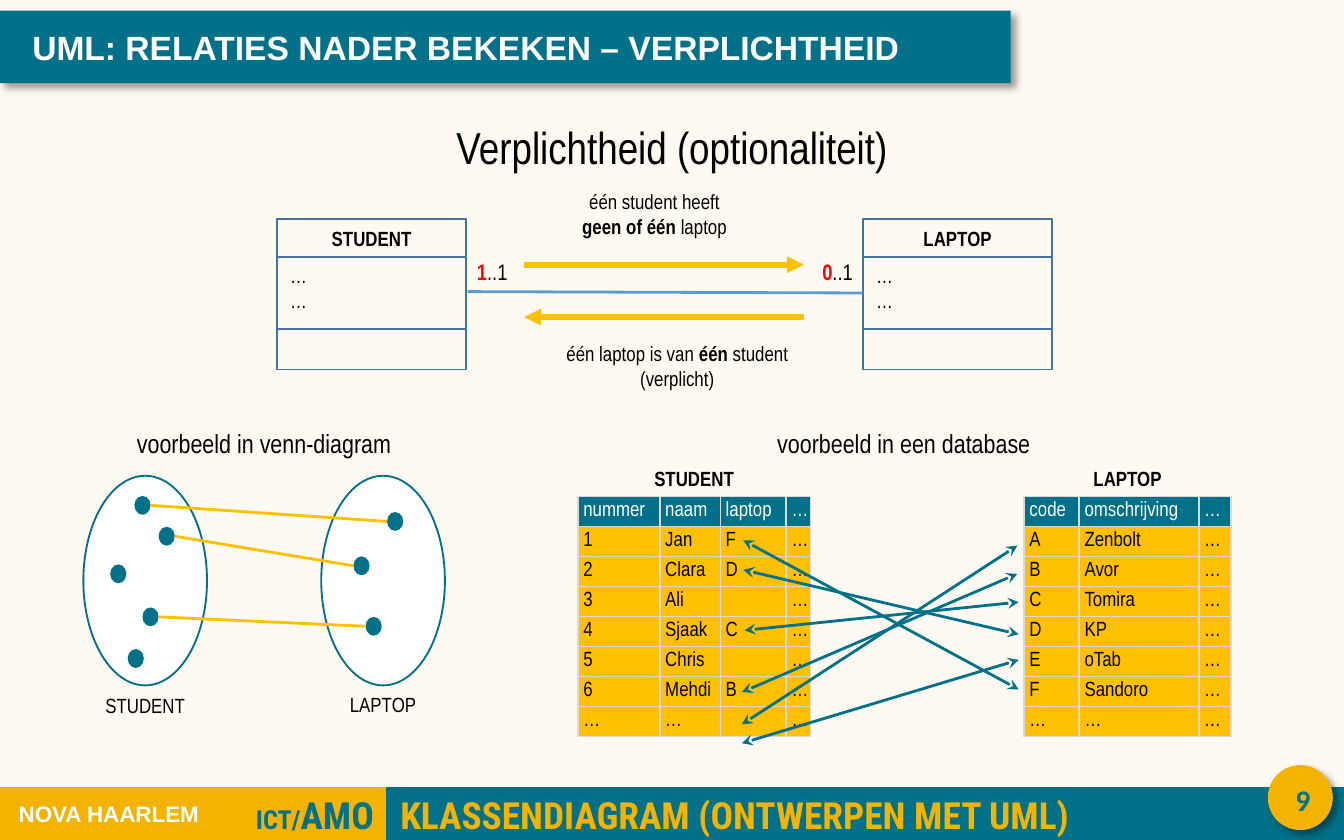
from dataclasses import dataclass, replace
from typing import Optional

from lxml import etree
from pptx import Presentation
from pptx import util as u
from pptx.dml.color import RGBColor
from pptx.enum import shapes as kinds, text as txt
from pptx.oxml.ns import qn

HEX = {"teal": "007188", "gold": "F3B300", "amber": "FFC000", "cream": "FFF6E4",
       "white": "FFFFFF", "black": "000000", "red": "FF0000", "edge": "43739E",
       "link": "5B9BD5", "grid": "D9D9D9"}
RECT, OVAL = kinds.MSO_SHAPE.RECTANGLE, kinds.MSO_SHAPE.OVAL
TOP, MID = txt.MSO_ANCHOR.TOP, txt.MSO_ANCHOR.MIDDLE
LEFT, MIDDLE, RIGHT = txt.PP_ALIGN.LEFT, txt.PP_ALIGN.CENTER, txt.PP_ALIGN.RIGHT
PAD = (0.1, 0.05, 0.1, 0.05)
FLAT = (0.1, 0, 0.1, 0)
NO_STYLE = "{2D5ABB26-0587-4C30-8999-92F81FD0307C}"


@dataclass(frozen=True)
class Font:
    size: float = 11
    color: str = "black"
    bold: bool = False
    name: str = "Arial Narrow"


@dataclass(frozen=True)
class Venn:
    name: str
    left: float
    base: float
    dots: tuple


@dataclass(frozen=True)
class Grid:
    left: float
    cols: tuple
    name: str
    rows: tuple


BODY = Font()
BOLD = replace(BODY, bold=True)
HEAD = Font(14)
ROBOTO = Font(20, "gold", True, "Roboto Condensed")
ARIAL = Font(12, "white", True, "Arial")


def rgb(name: str) -> RGBColor:
    return RGBColor.from_string(HEX[name])


def node(up, tag: str, **attrs):
    return etree.SubElement(up, qn(tag), **attrs)


def write(frame, text: str, font: Font, align=LEFT, anchor=TOP, pad=PAD,
          mark: Optional[Font] = None) -> None:
    """Fill a frame; parts between asterisks take the mark font."""
    frame.vertical_anchor = anchor
    frame.margin_left, frame.margin_top, frame.margin_right, frame.margin_bottom = map(u.Inches, pad)
    for i, line in enumerate(text.split("\n")):
        para = frame.add_paragraph() if i else frame.paragraphs[0]
        para.alignment = align
        for j, part in enumerate(line.split("*")):
            if not part:
                continue
            look = mark if j % 2 else font
            run = para.add_run()
            run.text = part.rstrip("\v")
            run.font.size, run.font.bold = u.Pt(look.size), look.bold
            run.font.name = look.name
            run.font.color.rgb = rgb(look.color)
            if part.endswith("\v"):
                para.add_line_break()


def label(shapes, at: tuple, text: str, font: Font = BODY, align=MIDDLE,
          wrap: bool = True, **kw) -> None:
    frame = shapes.add_textbox(*map(u.Inches, at)).text_frame
    frame.word_wrap = wrap
    write(frame, text, font, align, **kw)


def shape(shapes, kind, at: tuple, fill: str = "", line: str = ""):
    item = shapes.add_shape(kind, *map(u.Inches, at))
    item.shadow.inherit = False
    if fill:
        item.fill.solid()
        item.fill.fore_color.rgb = rgb(fill)
    else:
        item.fill.background()
    if line:
        item.line.color.rgb = rgb(line)
        item.line.width = u.Pt(1)
    else:
        item.line.fill.background()
    return item


def shade(item) -> None:
    """Give a shape a soft shadow to the lower right."""
    drop = node(item._element.spPr.find(qn("a:effectLst")), "a:outerShdw", blurRad="50800",
                dist="38100", dir="2700000", algn="tl", rotWithShape="0")
    node(node(drop, "a:srgbClr", val=HEX["black"]), "a:alpha", val="40000")


def link(shapes, ends: tuple, color: str, width: float = 1.5, head: str = "", tail: str = "") -> None:
    item = shapes.add_connector(kinds.MSO_CONNECTOR.STRAIGHT, *map(u.Inches, ends))
    item.line.color.rgb = rgb(color)
    item.line.width = u.Pt(width)
    for tag, tip in (("a:headEnd", head), ("a:tailEnd", tail)):
        if tip:
            node(item.line._ln, tag, type=tip)
    node(item._element.spPr, "a:effectLst")


def frame_page(shapes) -> None:
    back = shape(shapes, RECT, (0, -0.01, 10, 5.87), "cream")
    tint = back._element.spPr.find(qn("a:solidFill")).find(qn("a:srgbClr"))
    node(tint, "a:alpha", val="50000")
    shape(shapes, RECT, (0, 5.86, 2.88, 0.4), "gold", "gold")
    shape(shapes, RECT, (2.88, 5.86, 7.12, 0.4), "teal", "teal")
    teal = replace(ROBOTO, color="teal")
    label(shapes, (0, 5.89, 2.88, 0.34), "*ICT/*AMO", teal, RIGHT, anchor=MID,
          pad=FLAT, mark=replace(teal, size=14))
    label(shapes, (2.88, 5.89, 7.12, 0.34), "KLASSENDIAGRAM (ONTWERPEN MET UML)",
          ROBOTO, LEFT, anchor=MID, pad=FLAT)
    shade(shape(shapes, OVAL, (9.44, 5.7, 0.47, 0.47), "gold", "gold"))
    label(shapes, (9.4, 5.77, 0.59, 0.64), "9", Font(16, "teal", True, "Calibri"))
    label(shapes, (0, 5.86, 1.62, 0.39), "NOVA HAARLEM", ARIAL, anchor=MID)
    bar = shape(shapes, RECT, (0, 0.08, 7.52, 0.54), "teal")
    shade(bar)
    write(bar.text_frame, "UML: RELATIES NADER BEKEKEN – VERPLICHTHEID",
          replace(ARIAL, size=18), pad=(0.24, 0.12, 0, 0.12))


def draw_venn(shapes, venn: Venn) -> None:
    group = shapes.add_group_shape().shapes
    shape(group, OVAL, (venn.left, 3.54, 0.92, 1.56), "white", "teal")
    for x, y in venn.dots:
        shape(group, OVAL, (x, y, 0.12, 0.14), "teal")
    label(group, (venn.left, venn.base, 0.92, 0.29), venn.name)


def edge(cell, tags: tuple) -> None:
    for tag in tags:
        line = node(cell._tc.get_or_add_tcPr(), tag, w="12700")
        node(node(line, "a:solidFill"), "a:srgbClr", val=HEX["grid"])


def draw_grid(shapes, grid: Grid) -> None:
    high, wide = len(grid.rows) + 1, len(grid.cols)
    at = (grid.left, 3.47, sum(grid.cols), 2)
    table = shapes.add_table(high, wide, *map(u.Inches, at)).table
    table._tbl.tblPr.find(qn("a:tableStyleId")).text = NO_STYLE
    for col, width in zip(table.columns, grid.cols):
        col.width = u.Inches(width)
    data = ((grid.name,) + ("",) * (wide - 1),) + grid.rows
    for r, row in enumerate(data):
        table.rows[r].height = u.Inches(2 / high)
        for c, text in enumerate(row):
            cell = table.cell(r, c)
            font = BOLD if r == 0 else replace(BODY, color="white" if r == 1 else "black")
            write(cell.text_frame, text, font, LEFT if r else MIDDLE)
            cell.margin_left = cell.margin_right = u.Inches(0.04)
            cell.margin_top = cell.margin_bottom = u.Inches(0.02)
            cell.vertical_anchor = MID
            if not text:
                node(cell.text_frame.paragraphs[0]._p, "a:endParaRPr", sz="1100")
            edge(cell, ("a:lnL", "a:lnR", "a:lnT", "a:lnB") if r else ("a:lnB",))
            if r:
                cell.fill.solid()
                cell.fill.fore_color.rgb = rgb("teal" if r == 1 else "amber")
    table.cell(0, 0).merge(table.cell(0, wide - 1))


def draw_class(shapes, left: float, name: str) -> None:
    group = shapes.add_group_shape().shapes
    head, body, _ = [shape(group, RECT, (left, y, 1.41, h), line="edge")
                     for y, h in ((1.63, 0.28), (1.91, 0.54), (2.45, 0.3))]
    write(head.text_frame, name, BOLD, MIDDLE, MID)
    write(body.text_frame, "…\n…", BODY)


VENNS = (Venn("STUDENT", 0.62, 5.11, ((1, 3.69), (1.18, 3.92), (1.06, 4.52), (0.82, 4.2), (0.95, 4.83))),
         Venn("LAPTOP", 2.39, 5.1, ((2.88, 3.81), (2.63, 4.14), (2.72, 4.59))))
GRIDS = (
    Grid(4.3, (0.61, 0.45, 0.49, 0.18), "STUDENT", (
        ("nummer", "naam", "laptop", "…"), ("1", "Jan", "F", "…"), ("2", "Clara", "D", "…"),
        ("3", "Ali", "", "…"), ("4", "Sjaak", "C", "…"), ("5", "Chris", "", "…"),
        ("6", "Mehdi", "B", "…"), ("…", "…", "", "…"))),
    Grid(7.62, (0.41, 0.89, 0.24), "LAPTOP", (
        ("code", "omschrijving", "…"), ("A", "Zenbolt", "…"), ("B", "Avor", "…"),
        ("C", "Tomira", "…"), ("D", "KP", "…"), ("E", "oTab", "…"),
        ("F", "Sandoro", "…"), ("…", "…", "…"))))
KEYS = ((5.53, 4.02, 7.58, 5.13), (5.53, 4.24, 7.58, 4.72), (5.52, 5.39, 7.57, 4.06),
        (5.54, 4.69, 7.58, 4.48), (5.52, 5.53, 7.58, 4.91), (5.52, 5.15, 7.57, 4.27))


def main() -> None:
    deck = Presentation()
    deck.slide_width, deck.slide_height = u.Inches(10), u.Inches(6.25)
    shapes = deck.slides.add_slide(deck.slide_layouts[6]).shapes
    frame_page(shapes)

    for ends in ((3.9, 1.97, 5.98, 1.97), (5.98, 2.36, 3.9, 2.36)):
        link(shapes, ends, "amber", 3, tail="triangle")
    label(shapes, (3.94, 1.36, 1.86, 0.47), "één student heeft\v*geen of één *laptop", mark=BOLD)
    label(shapes, (4.11, 2.49, 1.86, 0.47), "één laptop is van *één* student\n(verplicht)", mark=BOLD)

    for venn in VENNS:
        draw_venn(shapes, venn)
    for (x, y), (to_x, to_y) in zip(VENNS[0].dots, VENNS[1].dots):
        link(shapes, (x + 0.12, y + 0.07, to_x, to_y + 0.07), "amber")

    label(shapes, (0, 0.84, 10, 0.5), "Verplichtheid (optionaliteit)", Font(24))
    for grid in GRIDS:
        draw_grid(shapes, grid)
    for ends in KEYS:
        link(shapes, ends, "teal", head="stealth", tail="stealth")
    label(shapes, (0.62, 3.13, 2.69, 0.34), "voorbeeld in venn-diagram", HEAD)
    label(shapes, (4.3, 3.13, 4.85, 0.34), "voorbeeld in een database", HEAD)

    for left, name in ((2.06, "STUDENT"), (6.42, "LAPTOP")):
        draw_class(shapes, left, name)
    link(shapes, (3.48, 2.17, 6.42, 2.18), "link")
    for left, text in ((6.02, "*0*..1"), (3.45, "*1*..1")):
        label(shapes, (left, 1.87, 0.43, 0.3), text, Font(12), LEFT, wrap=False,
              mark=Font(12, "red", True))
    deck.save("out.pptx")


if __name__ == "__main__":
    main()
